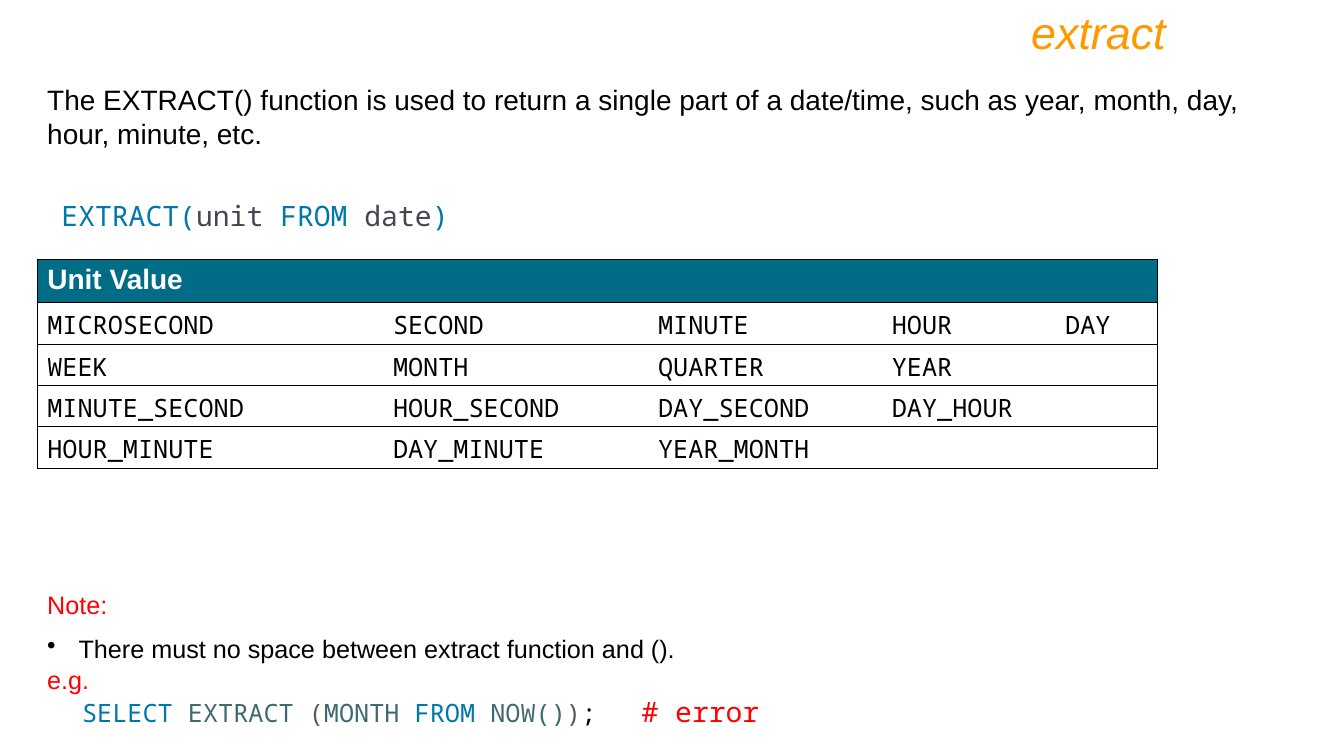
"""Build a slide on the SQL EXTRACT() function."""
from lxml import etree
from pptx import Presentation
from pptx.dml.color import RGBColor
from pptx.enum.text import PP_ALIGN
from pptx.oxml.ns import qn
from pptx.util import Cm, Pt

RIGHT, LEFT = PP_ALIGN.RIGHT, PP_ALIGN.LEFT
BLACK = RGBColor(0x00, 0x00, 0x00)
WHITE = RGBColor(0xFF, 0xFF, 0xFF)
ORANGE = RGBColor(0xFF, 0x99, 0x00)
RED = RGBColor(0xFF, 0x00, 0x00)
TEAL = RGBColor(0x00, 0x6C, 0x86)
KEYWORD = RGBColor(0x00, 0x77, 0xAA)
ARGUMENT = RGBColor(0x46, 0x46, 0x53)
NAME = RGBColor(0x3F, 0x69, 0x71)
BRACKET = RGBColor(0x59, 0x59, 0x59)
SANS, MONO = "Arial", "Noto Sans Mono"

UNITS = [
    ["MICROSECOND", "SECOND", "MINUTE", "HOUR", "DAY"],
    ["WEEK", "MONTH", "QUARTER", "YEAR", ""],
    ["MINUTE_SECOND", "HOUR_SECOND", "DAY_SECOND", "DAY_HOUR", ""],
    ["HOUR_MINUTE", "DAY_MINUTE", "YEAR_MONTH", "", ""],
]
UNIT_WIDTHS = [8.71, 6.68, 5.89, 4.37, 2.57]


class SlideBuilder:
    """Hold the current slide and its text and table style."""

    def __init__(self, slide):
        self.slide = slide

    def run(self, p, text, color, size=18, font=SANS, bold=False, italic=False):
        r = p.add_run()
        r.text = text
        r.font.name, r.font.size = font, Pt(size)
        r.font.bold, r.font.italic = bold, italic
        r.font.color.rgb = color

    def code(self, p, parts, size):
        for text, color in parts:
            self.run(p, text, color, size, MONO)

    def text_box(self, left, top, width, height, align=LEFT):
        sp = self.slide.shapes.add_textbox(Cm(left), Cm(top), Cm(width), Cm(height))
        tf = sp.text_frame
        tf.word_wrap = True
        tf.paragraphs[0].alignment = align
        return tf

    def bullet(self, p, indent):
        pPr = p._p.get_or_add_pPr()
        pPr.set("marL", str(Cm(indent)))
        pPr.set("indent", str(-Cm(indent)))
        etree.SubElement(pPr, qn("a:buChar"), char="•")

    def tabs(self, p, stops):
        tab_list = etree.SubElement(p._p.get_or_add_pPr(), qn("a:tabLst"))
        for stop in stops:
            etree.SubElement(tab_list, qn("a:tab"), pos=str(Cm(stop)), algn="l")

    def borders(self, cell, visible):
        tcPr = cell._tc.get_or_add_tcPr()
        for side in "LRTB":
            ln = etree.SubElement(tcPr, qn("a:ln" + side), w=str(Pt(0.75)))
            if side in visible:
                fill = etree.SubElement(ln, qn("a:solidFill"))
                etree.SubElement(fill, qn("a:srgbClr"), val=str(BLACK))
            else:
                etree.SubElement(ln, qn("a:noFill"))

    def table(self, left, top, widths, row_height, header, rows):
        count = len(widths)
        table = self.slide.shapes.add_table(
            len(rows) + 1, count, Cm(left), Cm(top),
            Cm(sum(widths)), Cm(row_height * (len(rows) + 1))).table
        table.first_row = table.horz_banding = False
        for column, width in zip(table.columns, widths):
            column.width = Cm(width)
        for i, row in enumerate([[header] + [""] * (count - 1)] + rows):
            for j, text in enumerate(row):
                cell = table.cell(i, j)
                last = j == count - 1 or i == 0
                self.borders(cell, "TB" + "L" * (j == 0) + "R" * last)
                cell.fill.solid()
                cell.fill.fore_color.rgb = WHITE if i else TEAL
                p = cell.text_frame.paragraphs[0]
                if i:
                    cell.margin_bottom = 0
                if text and i:
                    self.run(p, text, BLACK, 18, MONO)
                elif text:
                    self.run(p, text, WHITE, 20, bold=True)
        table.cell(0, 0).merge(table.cell(0, count - 1))


def main():
    prs = Presentation()
    prs.slide_width, prs.slide_height = Cm(33.87), Cm(19.05)
    s = SlideBuilder(prs.slides.add_slide(prs.slide_layouts[6]))

    title = s.text_box(4.23, 0, 25.4, 1.63, RIGHT)
    s.run(title.paragraphs[0], "extract", ORANGE, 32, italic=True)

    intro = s.text_box(0.94, 1.96, 32, 1.96)
    s.run(intro.paragraphs[0],
          "The EXTRACT() function is used to return a single part of a date/time, "
          "such as year, month, day, hour, minute, etc.", BLACK, 20)

    syntax = s.text_box(1.3, 4.88, 11, 1.12)
    s.code(syntax.paragraphs[0], [
        ("EXTRACT(", KEYWORD), ("unit", ARGUMENT), (" FROM ", KEYWORD),
        ("date", ARGUMENT), (")", KEYWORD)], 20)

    s.table(0.94, 6.53, UNIT_WIDTHS, 1.04, "Unit Value", UNITS)

    note = s.text_box(0.94, 14.73, 19.05, 3.76)
    s.run(note.paragraphs[0], "Note:", RED)
    p = note.add_paragraph()
    p.space_before = Pt(10)
    s.bullet(p, 0.79)
    s.run(p, "There must no space between extract function and ().", BLACK)
    s.run(note.add_paragraph(), "e.g.", RED)
    p = note.add_paragraph()
    s.tabs(p, [0.88, 14.98])
    s.code(p, [
        ("\tSELECT ", KEYWORD), ("EXTRACT ", NAME), ("(", BRACKET),
        ("MONTH ", NAME), ("FROM ", KEYWORD), ("NOW()", NAME),
        (")", BRACKET), (";\t", BLACK)], 18)
    s.code(p, [("# error", RED)], 20)

    prs.save("out.pptx")


if __name__ == "__main__":
    main()
